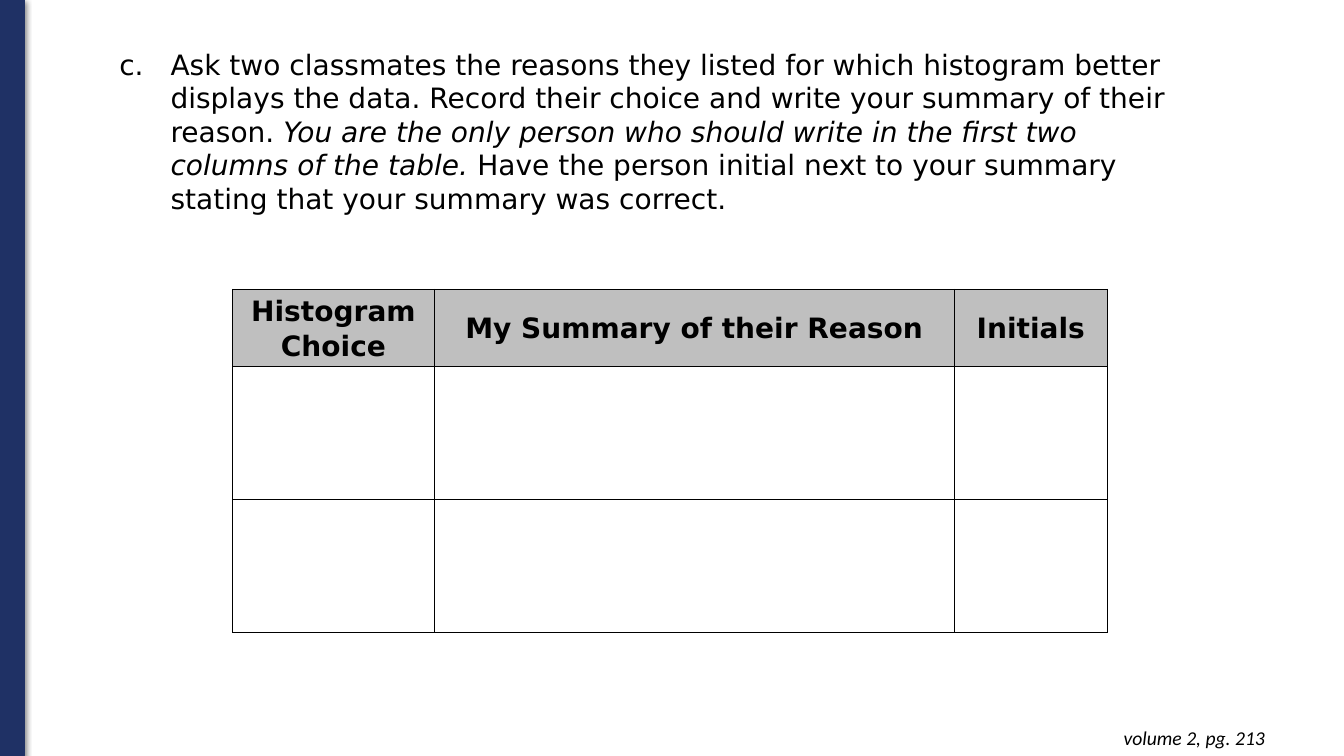
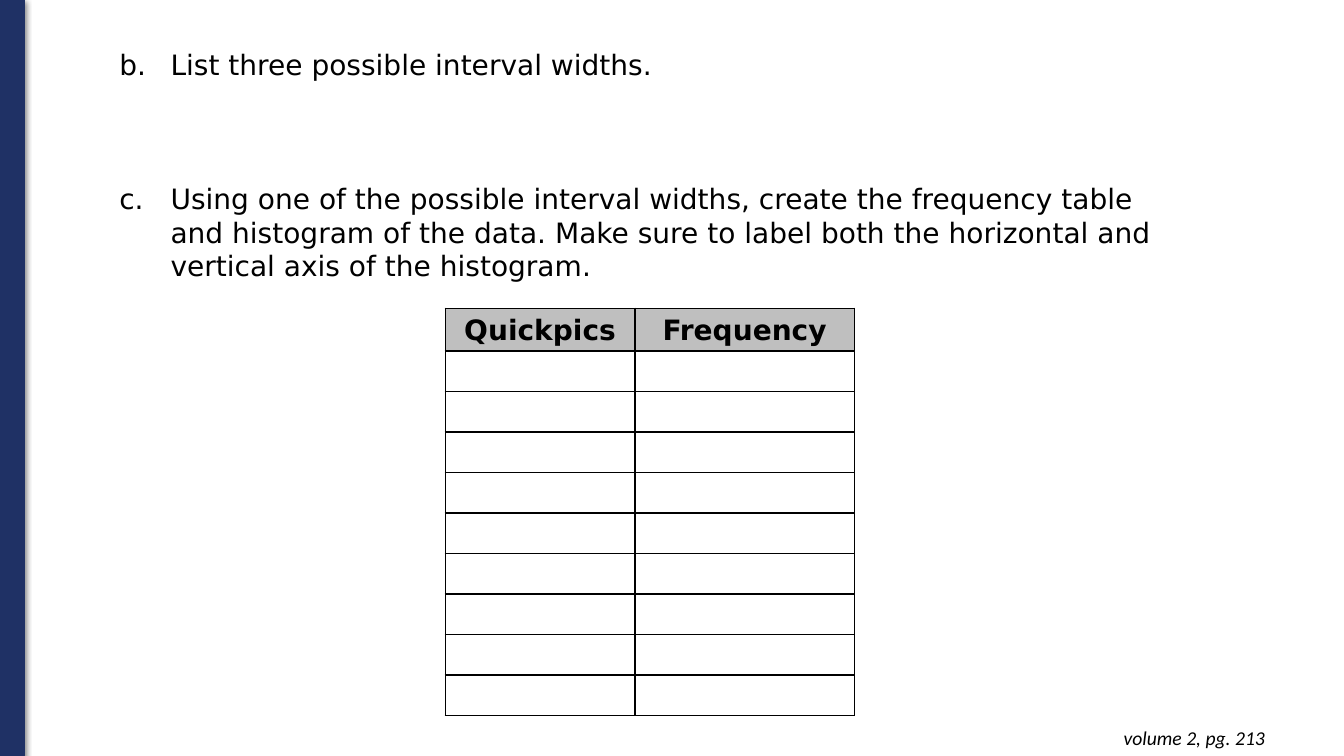
from dataclasses import dataclass

import lxml.etree
import pptx
import pptx.dml.color
import pptx.enum.shapes
import pptx.enum.text
import pptx.oxml
import pptx.oxml.ns
import pptx.slide
import pptx.text.text
import pptx.util

NAVY = pptx.dml.color.RGBColor(0x1F, 0x31, 0x65)
BLACK = pptx.dml.color.RGBColor(0, 0, 0)
GRAY = pptx.dml.color.RGBColor(0xBF, 0xBF, 0xBF)
SANS = "DejaVu Sans"
NOTE = "Calibri"
COLS, ROWS = 160, 90
WIDE, HIGH = pptx.util.Inches(13.33), pptx.util.Inches(7.5)
BODY = 1


@dataclass(frozen=True)
class Phrase:
    text: str
    slant: bool = False


@dataclass(frozen=True)
class Item:
    start: int
    words: tuple[Phrase, ...]
    gap: int = 0


@dataclass(frozen=True)
class Grid:
    left: float
    top: float
    heads: tuple[str, ...]
    spans: tuple[float, ...]
    head: float
    row: float
    count: int


@dataclass(frozen=True)
class Page:
    width: float
    items: tuple[Item, ...]
    grid: Grid
    foot: str = "volume 2, pg. 213"


PAGES = (
    Page(
        134.6,
        (
            Item(3, (
                Phrase("Ask two classmates the reasons they listed for which histogram better "
                       "displays the data. Record their choice and write your summary of their reason. "),
                Phrase("You are the only person who should write in the first two columns of the table. ", True),
                Phrase("Have the person initial next to your summary stating that your summary was correct."),
            )),
        ),
        Grid(27.7, 34.45, ("Histogram Choice", "My Summary of their Reason", "Initials"),
             (24, 61.9, 18.25), 9.2, 15.85, 2),
    ),
    Page(
        131.8,
        (
            Item(2, (Phrase("List three possible interval widths."),)),
            Item(3, (
                Phrase("Using one of the possible interval widths, create the frequency table and "
                       "histogram of the data. Make sure to label both the horizontal and vertical "
                       "axis of the histogram."),
            ), 72),
        ),
        Grid(53, 36.7, ("Quickpics", "Frequency"), (22.6, 26.1), 5.1, 4.82, 9),
    ),
)


def across(cols: float) -> int:
    return int(WIDE * cols / COLS)


def down(rows: float) -> int:
    return int(HIGH * rows / ROWS)


def make(xml: str) -> lxml.etree.ElementBase:
    tag, rest = xml.split(" ", 1)
    return pptx.oxml.parse_xml(f"<{tag} {pptx.oxml.ns.nsdecls('a')} {rest}")


def style(run: pptx.text.text._Run, size: int, face: str = SANS,
          bold: bool = False, slant: bool = False) -> None:
    font = run.font
    font.name, font.size = face, pptx.util.Pt(size)
    font.bold, font.italic = bold, slant
    font.color.rgb = BLACK


def band(slide: pptx.slide.Slide) -> None:
    bar = slide.shapes.add_shape(
        pptx.enum.shapes.MSO_SHAPE.RECTANGLE, 0, 0, across(2.9), HIGH)
    bar.fill.solid()
    bar.fill.fore_color.rgb = NAVY
    bar.line.color.rgb = NAVY
    bar.line.width = pptx.util.Pt(0.75)
    bar.shadow.inherit = False
    glow = bar.element.spPr.find(pptx.oxml.ns.qn("a:effectLst"))
    glow.append(make(
        f'a:outerShdw blurRad="{pptx.util.Pt(4.5)}" dist="{pptx.util.Pt(1.5)}" '
        f'dir="5400000" rotWithShape="0"><a:srgbClr val="{BLACK}">'
        '<a:alpha val="50000"/></a:srgbClr></a:outerShdw>'))


def foot(slide: pptx.slide.Slide, text: str) -> None:
    frame = slide.shapes.add_textbox(
        across(96), down(85.2), across(55.8), down(5.3)).text_frame
    frame.word_wrap = True
    frame.margin_top = frame.margin_bottom = pptx.util.Inches(0.1)
    frame.text = text
    par = frame.paragraphs[0]
    par.alignment = pptx.enum.text.PP_ALIGN.RIGHT
    style(par.runs[0], 14, NOTE, slant=True)


def tasks(slide: pptx.slide.Slide, page: Page) -> None:
    box = slide.placeholders[BODY]
    box.left, box.top = across(7), down(5)
    box.width, box.height = across(page.width), down(29)
    frame = box.text_frame
    frame.word_wrap = True
    frame.auto_size = pptx.enum.text.MSO_AUTO_SIZE.NONE
    frame.vertical_anchor = pptx.enum.text.MSO_ANCHOR.TOP
    for place, item in enumerate(page.items):
        par = frame.add_paragraph() if place else frame.paragraphs[0]
        props = par._p.get_or_add_pPr()
        props.set("marL", str(across(12.1)))
        props.set("indent", str(-across(6.1)))
        props.append(make(f'a:buClr ><a:srgbClr val="{BLACK}"/></a:buClr>'))
        props.append(make(f'a:buFont typeface="{SANS}"/>'))
        props.append(make(f'a:buAutoNum type="alphaLcPeriod" startAt="{item.start}"/>'))
        par.space_before = pptx.util.Pt(item.gap)
        for phrase in item.words:
            run = par.add_run()
            run.text = phrase.text
            style(run, 20, slant=phrase.slant)


def table(slide: pptx.slide.Slide, grid: Grid) -> None:
    sizes = (grid.head,) + (grid.row,) * grid.count
    sheet = slide.shapes.add_table(
        len(sizes), len(grid.spans), across(grid.left), down(grid.top),
        across(sum(grid.spans)), down(sum(sizes))).table
    sheet.horz_banding = False
    for col, span in zip(sheet.columns, grid.spans):
        col.width = across(span)
    for row, size in zip(sheet.rows, sizes):
        row.height = down(size)
    for cell in sheet.iter_cells():
        cell.margin_top = cell.margin_bottom = 0
        cell.margin_left = cell.margin_right = pptx.util.Inches(0.07)
        cell.vertical_anchor = pptx.enum.text.MSO_ANCHOR.MIDDLE
        cell.fill.background()
        props = cell._tc.get_or_add_tcPr()
        for place, side in enumerate("LRTB"):
            props.insert(place, make(
                f'a:ln{side} w="{pptx.util.Pt(1)}"><a:solidFill>'
                f'<a:srgbClr val="{BLACK}"/></a:solidFill></a:ln{side}>'))
    for place, text in enumerate(grid.heads):
        cell = sheet.cell(0, place)
        cell.fill.solid()
        cell.fill.fore_color.rgb = GRAY
        cell.text_frame.text = text
        par = cell.text_frame.paragraphs[0]
        par.alignment = pptx.enum.text.PP_ALIGN.CENTER
        par.line_spacing = 1.07
        par.space_after = pptx.util.Pt(8)
        style(par.runs[0], 20, bold=True)


def main() -> None:
    deck = pptx.Presentation()
    deck.slide_width, deck.slide_height = WIDE, HIGH
    for page in PAGES:
        slide = deck.slides.add_slide(deck.slide_layouts[1])
        title = slide.shapes.title.element
        title.getparent().remove(title)
        band(slide)
        tasks(slide, page)
        table(slide, page.grid)
        foot(slide, page.foot)
    deck.save("out.pptx")


if __name__ == "__main__":
    main()
